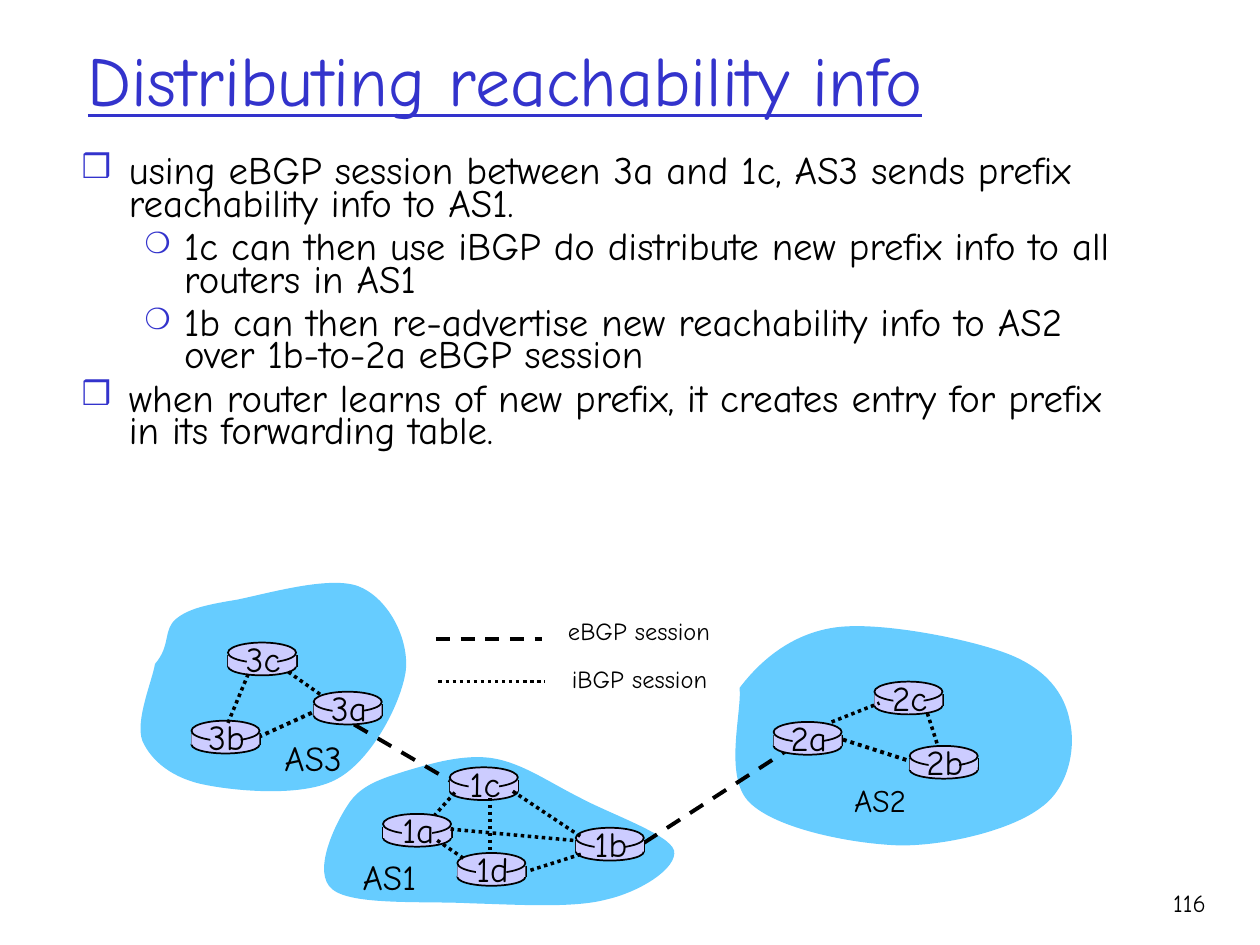
from dataclasses import dataclass
from typing import NamedTuple

import lxml.etree
import pptx
import pptx.dml.color
import pptx.enum.dml
import pptx.enum.shapes
import pptx.enum.text
import pptx.oxml.ns
import pptx.util

Align = pptx.enum.text.PP_ALIGN
Anchor = pptx.enum.text.MSO_ANCHOR
Fit = pptx.enum.text.MSO_AUTO_SIZE
Dash = pptx.enum.dml.MSO_LINE
Preset = pptx.enum.shapes.MSO_SHAPE
COLUMNS, ROWS = 100, 75


@dataclass(frozen=True)
class Theme:
    font: str = "Comic Neue"
    accent: str = "3333CC"
    ink: str = "000000"
    cloud: str = "66CCFF"
    router: str = "CCCCFF"
    title: float = 40
    body: float = 22.2
    label: float = 20
    small_label: float = 18
    caption: float = 14
    outline: float = 1
    thin: float = 2
    thick: float = 2.25


class Level(NamedTuple):
    bullet: str
    percent: int
    margin: float
    hanging: float


class Point(NamedTuple):
    column: float
    row: float


class Router(NamedTuple):
    name: str
    column: float
    row: float


class Session(NamedTuple):
    start: Point
    end: Point
    dash: Dash
    weight: float


class Label(NamedTuple):
    text: str
    column: float
    row: float
    width: float
    height: float
    size: float


THEME = Theme()
MAIN = Level("❒", 85, 3.75, 3.75)
SUB = Level("❍", 75, 8.13, 3.13)
BODY = [
    (MAIN, "using eBGP session between 3a and 1c, AS3 sends prefix reachability info to AS1."),
    (SUB, "1c can then use iBGP do distribute new prefix info to all routers in AS1"),
    (SUB, "1b can then re-advertise new reachability info to AS2 over 1b-to-2a eBGP session"),
    (MAIN, "when router learns of new prefix, it creates entry for prefix in its forwarding table."),
]
AS2_CLOUD = [
    (58.7, 54.6), (60.2, 52.6), (62.7, 50.3), (66.3, 49.8), (69.8, 49.3), (76.9, 50.7), (80, 51.9),
    (83.1, 53.1), (84.5, 55.1), (84.9, 57.2), (85.4, 59.2), (84.9, 62.5), (82.6, 64.1),
    (80.4, 65.8), (75.4, 67.1), (71.5, 67.1), (67.7, 67), (61.6, 65.8), (59.5, 63.7),
    (57.4, 61.7), (58.9, 56.5), (58.7, 54.6),
]
AS3_CLOUD = [
    (12.3, 52.7), (13.6, 51.2), (12.9, 50), (14, 49.1), (15, 48.3), (16.4, 48), (18.8, 47.6),
    (21.3, 47.1), (26.4, 45.6), (28.6, 46.6), (30.9, 47.6), (32.5, 50.8), (32.2, 53.3),
    (31.8, 55.9), (29.5, 60.3), (26.8, 61.8), (24.2, 63.3), (18.8, 62.8), (16.3, 62.3),
    (13.7, 61.8), (12, 60.4), (11.3, 58.8), (10.7, 57.2), (12.1, 54), (12.3, 52.7),
]
AS1_CLOUD = [
    (27.6, 63.9), (28.6, 62.3), (30.3, 61.8), (32.2, 61.2), (34.2, 60.6), (36.9, 59.8), (39.2, 60.2),
    (41.5, 60.6), (43.6, 62.1), (46, 63.3), (48.4, 64.6), (53.1, 66.2), (53.5, 67.5),
    (53.8, 68.9), (50.8, 70.8), (48.1, 71.4), (45.5, 72.1), (41, 71.8), (37.4, 71.7),
    (33.8, 71.5), (28, 71.9), (26.4, 70.6), (24.7, 69.3), (26.6, 65.4), (27.6, 63.9),
]
ROUTERS = [
    Router("3b", 15.2, 57.2), Router("1d", 36.3, 67.7), Router("3a", 24.9, 54.9),
    Router("1c", 35.7, 60.9), Router("2a", 61.4, 57.3), Router("1a", 30.4, 64.6),
    Router("2c", 69.4, 54.1), Router("2b", 72.2, 59.2), Router("1b", 45.7, 65.7),
    Router("3c", 18.1, 51),
]


def sessions(ends: list, dash: Dash, weight: float) -> list[Session]:
    return [Session(Point(*e[:2]), Point(*e[2:]), dash, weight) for e in ends]


SESSIONS_BELOW = (
    sessions([(66.9, 58.7, 72.2, 60.4), (20.5, 58.5, 24.9, 56.5)], Dash.ROUND_DOT, THEME.thick)
    + sessions([(28.1, 57.5, 35.8, 62), (51.1, 66.9, 62.4, 59.6)], Dash.DASH, THEME.thick)
)
SESSIONS_ABOVE = sessions([
    (36.1, 62.9, 34.5, 64.7), (38.9, 63.3, 38.9, 67.6), (40.7, 62.8, 46.1, 66.4),
    (46.1, 67.8, 42, 69.1), (45.5, 66.7, 35.7, 65.8), (66, 57.3, 69.8, 55.8),
    (34.8, 54.1, 43.2, 54.1), (25.4, 55.1, 22.7, 53.2), (19.7, 53.5, 18, 57.6),
    (73.6, 56.6, 74.4, 59.1), (34.7, 66.7, 36.9, 68.2),
], Dash.ROUND_DOT, THEME.thin) + sessions([(34.6, 50.7, 43, 50.7)], Dash.DASH, THEME.thin)
LABELS = [
    Label("AS3", 21.6, 58, 6.6, 4.4, THEME.label),
    Label("AS1", 27.8, 67.4, 6.3, 4.4, THEME.label),
    Label("AS2", 66.8, 61.5, 6.2, 4, THEME.small_label),
    Label("eBGP session", 44.1, 48.4, 13.4, 3.4, THEME.caption),
    Label("iBGP session", 44.4, 52.2, 12.8, 3.4, THEME.caption),
]

deck = pptx.Presentation()
deck.slide_width = pptx.util.Inches(10)
deck.slide_height = pptx.util.Inches(7.5)
slide = deck.slides.add_slide(deck.slide_layouts[6])


def across(columns: float) -> int:
    return round(deck.slide_width * columns / COLUMNS)


def down(rows: float) -> int:
    return round(deck.slide_height * rows / ROWS)


def area(column: float, row: float, width: float, height: float) -> tuple:
    return across(column), down(row), across(width), down(height)


def rgb(colour: str) -> pptx.dml.color.RGBColor:
    return pptx.dml.color.RGBColor.from_string(colour)


def child(parent, tag: str, **attributes: str):
    return lxml.etree.SubElement(parent, pptx.oxml.ns.qn(tag), attributes)


def add_bullet(paragraph, level: Level) -> None:
    properties = paragraph._p.get_or_add_pPr()
    properties.set("marL", str(across(level.margin)))
    properties.set("indent", str(-across(level.hanging)))
    child(child(properties, "a:buClr"), "a:srgbClr", val=THEME.accent)
    child(properties, "a:buSzPct", val=str(level.percent * 1000))
    child(properties, "a:buFont", typeface=THEME.font)
    child(properties, "a:buChar", char=level.bullet)


def write(text, place: tuple, *, size: float, colour: str = THEME.ink, align: Align = Align.LEFT,
          anchor: Anchor = Anchor.TOP, underline: bool = False, wrap: bool = True,
          fit: Fit = Fit.NONE) -> None:
    frame = slide.shapes.add_textbox(*area(*place)).text_frame
    frame.word_wrap = wrap
    frame.auto_size = fit
    frame.vertical_anchor = anchor
    entries = [(None, text)] if isinstance(text, str) else text
    for index, (level, line) in enumerate(entries):
        paragraph = frame.add_paragraph() if index else frame.paragraphs[0]
        paragraph.alignment = align
        if level:
            paragraph.line_spacing = 0.7
            if index:
                paragraph.space_before = pptx.util.Pt(6)
            add_bullet(paragraph, level)
        run = paragraph.add_run()
        run.text = line
        run.font.name = THEME.font
        run.font.size = pptx.util.Pt(size)
        run.font.color.rgb = rgb(colour)
        run.font.underline = underline or None


def paint(shape, fill: str, outlined: bool = False) -> None:
    shape.shadow.inherit = False
    shape.fill.solid()
    shape.fill.fore_color.rgb = rgb(fill)
    if outlined:
        shape.line.color.rgb = rgb(THEME.ink)
        shape.line.width = pptx.util.Pt(THEME.outline)
    else:
        shape.line.fill.background()


def draw_line(start: Point, end: Point, weight: float, dash: Dash = Dash.SOLID) -> None:
    line = slide.shapes.add_connector(
        pptx.enum.shapes.MSO_CONNECTOR.STRAIGHT,
        across(start.column), down(start.row), across(end.column), down(end.row))
    line.line.color.rgb = rgb(THEME.ink)
    line.line.width = pptx.util.Pt(weight)
    line.line.dash_style = dash
    child(line._element.spPr, "a:effectLst")


def draw_cloud(knots: list) -> None:
    start, *bends = [(across(x), down(y)) for x, y in knots]
    builder = slide.shapes.build_freeform(*start)
    builder.add_line_segments(bends, close=True)
    cloud = builder.convert_to_shape()
    segments = list(cloud._element.iter(pptx.oxml.ns.qn("a:lnTo")))
    for first in range(0, len(bends), 3):
        curve = lxml.etree.Element(pptx.oxml.ns.qn("a:cubicBezTo"))
        segments[first].addprevious(curve)
        for segment in segments[first:first + 3]:
            curve.append(segment[0])
            segment.getparent().remove(segment)
    paint(cloud, THEME.cloud)


def draw_router(router: Router) -> None:
    name, x, y = router

    def part(preset: Preset, *place: float, outlined: bool = False) -> None:
        paint(slide.shapes.add_shape(preset, *area(*place)), THEME.router, outlined)

    part(Preset.OVAL, x, y + 1.2, 5.4, 1.4, outlined=True)
    for side in (x, x + 5.45):
        draw_line(Point(side, y + 1), Point(side, y + 1.9), THEME.outline)
    part(Preset.RECTANGLE, x, y + 1, 5.4, 0.9)
    part(Preset.OVAL, x, y, 5.4, 1.6, outlined=True)
    part(Preset.RECTANGLE, x + 1.5, y + 0.2, 2.4, 2.1)
    write(name, (x + 0.3, y - 0.9, 5, 4.4), size=THEME.label, align=Align.CENTER,
          wrap=False, fit=Fit.SHAPE_TO_FIT_TEXT)


write("Distributing reachability info", (6, 0, 85, 12.5), size=THEME.title,
      colour=THEME.accent, anchor=Anchor.MIDDLE, underline=True)
write(BODY, (5.5, 12.1, 85, 25.9), size=THEME.body)
for cloud in (AS2_CLOUD, AS3_CLOUD, AS1_CLOUD):
    draw_cloud(cloud)
for session in SESSIONS_BELOW:
    draw_line(session.start, session.end, session.weight, session.dash)
for router in ROUTERS:
    draw_router(router)
for session in SESSIONS_ABOVE:
    draw_line(session.start, session.end, session.weight, session.dash)
for label in LABELS:
    write(label.text, label[1:5], size=label.size, fit=Fit.SHAPE_TO_FIT_TEXT)
write("116", (89.3, 70, 7.4, 5), size=THEME.caption, align=Align.RIGHT)
deck.save("out.pptx")
